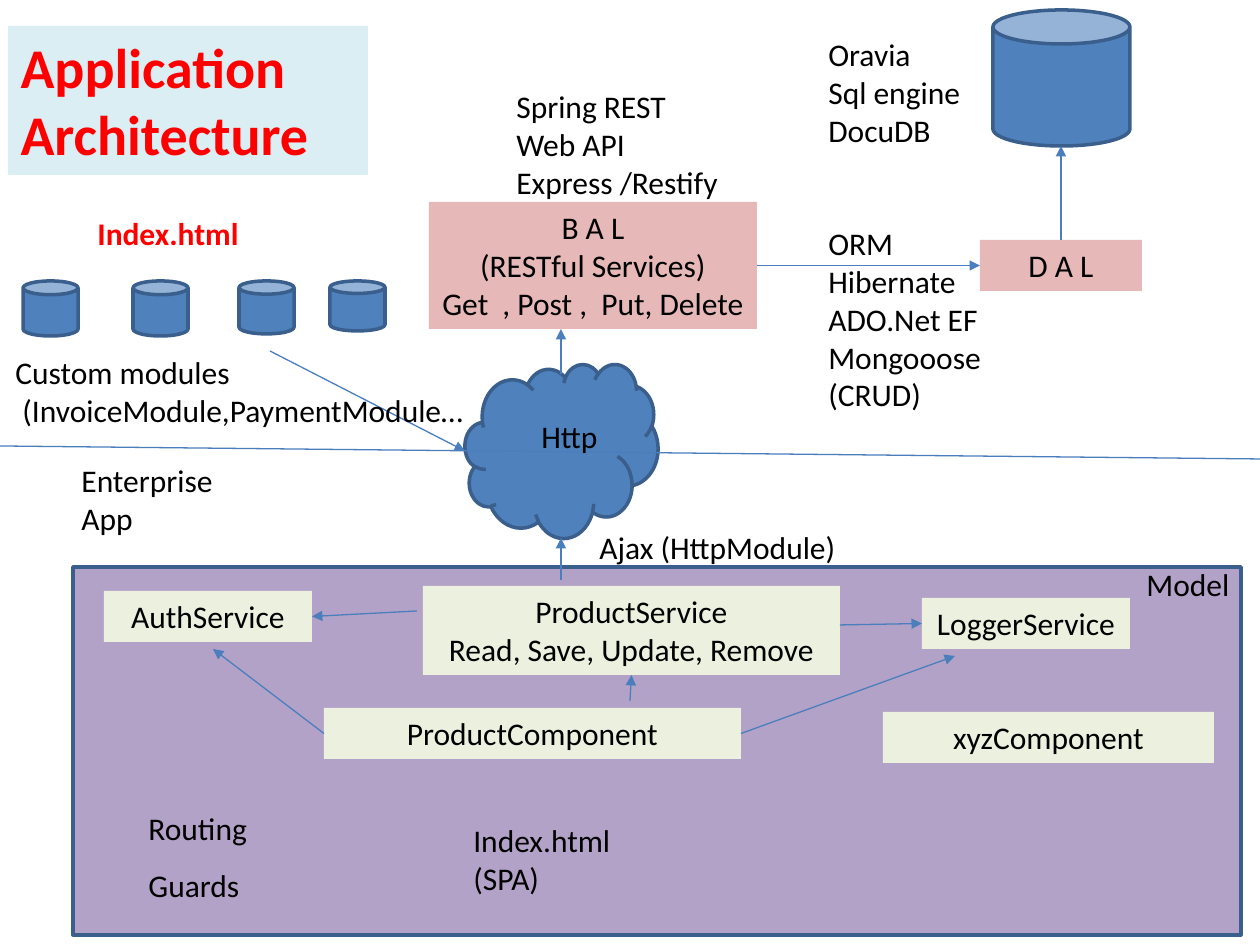
from lxml.etree import SubElement
from pptx import Presentation
from pptx.dml.color import RGBColor
from pptx.enum.shapes import MSO_CONNECTOR, MSO_SHAPE
from pptx.enum.text import MSO_ANCHOR, MSO_AUTO_SIZE, PP_ALIGN
from pptx.oxml.ns import qn
from pptx.util import Emu, Pt

PX = 914400 // 126
FONT = "Calibri"
COLORS = {
    "blue": "4F81BD", "outline": "3A5F8C", "connector": "4B7EBC",
    "panel": "B3A2C7", "service": "EBF1DE", "layer": "E6B9B8",
    "title": "DBEEF4", "red": "FF0000", "black": "000000",
}

TITLE = ("Application Architecture", (8, 26, 360, 149))

OUTLINED = [
    (MSO_SHAPE.CAN, "blue", (993, 10, 137, 136)),
    (MSO_SHAPE.CAN, "blue", (23, 281, 55, 55)),
    (MSO_SHAPE.CAN, "blue", (133, 281, 55, 55)),
    (MSO_SHAPE.CAN, "blue", (239, 281, 55, 53)),
    (MSO_SHAPE.CAN, "blue", (330, 281, 55, 50)),
    (MSO_SHAPE.CLOUD, "blue", (465, 364, 193, 174)),
    (MSO_SHAPE.RECTANGLE, "panel", (73, 567, 1168, 368)),
]

BOXES = {
    "dal": (["D A L"], "layer", (980, 240, 162, 51)),
    "bal": (["B A L", "(RESTful Services)", "Get  , Post ,  Put, Delete"],
            "layer", (429, 202, 328, 127)),
    "product service": (["ProductService", "Read, Save, Update, Remove"],
                        "service", (423, 586, 417, 89)),
    "auth": (["AuthService"], "service", (104, 591, 208, 51)),
    "logger": (["LoggerService"], "service", (922, 598, 208, 51)),
    "product component": (["ProductComponent"], "service", (324, 708, 417, 51)),
    "xyz component": (["xyzComponent"], "service", (883, 712, 331, 51)),
}

LABELS = [
    (["Oravia", "Sql engine", "DocuDB"], "black", (816, 29, 237, 127)),
    (["ORM", "Hibernate", "ADO.Net EF", "Mongooose", "(CRUD)"],
     "black", (816, 218, 237, 203)),
    (["Spring REST", "Web API", "Express /Restify"], "black", (504, 81, 263, 127)),
    (["Http"], "black", (529, 411, 116, 51)),
    (["Ajax (HttpModule)"], "black", (587, 522, 292, 51)),
    (["Model"], "black", (1134, 559, 115, 51)),
    (["Index.html", "(SPA)"], "black", (461, 815, 265, 89)),
    (["Routing"], "black", (136, 803, 132, 51)),
    (["Guards"], "black", (136, 860, 132, 51)),
    (["Enterprise App"], "black", (69, 455, 168, 89)),
    (["Custom modules", " (InvoiceModule,PaymentModule…"],
     "black", (3, 347, 709, 127)),
    (["Index.html"], "red", (85, 208, 194, 51)),
]

TOP, LEFT, BOTTOM, RIGHT = range(4)
ARROWS = [
    (("dal", TOP), (1061, 146)),
    (("bal", RIGHT), ("dal", LEFT)),
    ((561, 374), (561, 329)),
    ((561, 580), (561, 538)),
    ((630, 701), ("product service", BOTTOM)),
    (("product component", RIGHT), (955, 656)),
    (("product component", LEFT), (213, 649)),
    ((417, 611), ("auth", RIGHT)),
    ((840, 625), ("logger", LEFT)),
    ((270, 351), (465, 451)),
]
DIVIDER = ((0, 446), (1260, 459))


def emu(values):
    return [Emu(value * PX) for value in values]


def color(name):
    return RGBColor.from_string(COLORS[name])


def write(shape, lines, ink="black", size=18, bold=False, align=PP_ALIGN.LEFT):
    frame = shape.text_frame
    frame.word_wrap = True
    frame.auto_size = MSO_AUTO_SIZE.NONE
    frame.vertical_anchor = MSO_ANCHOR.TOP
    for index, line in enumerate(lines):
        paragraph = frame.add_paragraph() if index else frame.paragraphs[0]
        paragraph.alignment = align
        run = paragraph.add_run()
        run.text = line
        run.font.name = FONT
        run.font.size = Pt(size)
        run.font.bold = bold
        run.font.color.rgb = color(ink)


def fill(shape, name):
    shape.fill.solid()
    shape.fill.fore_color.rgb = color(name)


def add_filled(slide, kind, name, place, outlined):
    shape = slide.shapes.add_shape(kind, *emu(place))
    shape.shadow.inherit = False
    fill(shape, name)
    if outlined:
        shape.line.color.rgb = color("outline")
        shape.line.width = Pt(2)
    else:
        shape.line.fill.background()
    return shape


def add_line(slide, boxes, start, end, arrow):
    points = [(0, 0) if isinstance(point[0], str) else point for point in (start, end)]
    line = slide.shapes.add_connector(MSO_CONNECTOR.STRAIGHT, *emu(points[0] + points[1]))
    for point, connect in ((start, line.begin_connect), (end, line.end_connect)):
        if isinstance(point[0], str):
            connect(boxes[point[0]], point[1])
    line.line.color.rgb = color("connector")
    line.line.width = Pt(0.75)
    if arrow:
        SubElement(line.line._get_or_add_ln(), qn("a:tailEnd"), type="triangle")
    SubElement(line._element.spPr, qn("a:effectLst"))


def main():
    presentation = Presentation()
    presentation.slide_width, presentation.slide_height = emu((1260, 945))
    slide = presentation.slides.add_slide(presentation.slide_layouts[5])

    text, place = TITLE
    title = slide.shapes.title
    title.left, title.top, title.width, title.height = emu(place)
    fill(title, "title")
    write(title, [text], "red", 32, True)

    for kind, name, place in OUTLINED:
        add_filled(slide, kind, name, place, True)

    boxes = {}
    for key, (lines, name, place) in BOXES.items():
        boxes[key] = add_filled(slide, MSO_SHAPE.RECTANGLE, name, place, False)
        write(boxes[key], lines, align=PP_ALIGN.CENTER)

    for start, end in ARROWS:
        add_line(slide, boxes, start, end, True)
    add_line(slide, boxes, *DIVIDER, False)

    for lines, ink, place in LABELS:
        write(slide.shapes.add_textbox(*emu(place)), lines, ink, bold=ink == "red")

    presentation.save("out.pptx")


if __name__ == "__main__":
    main()
